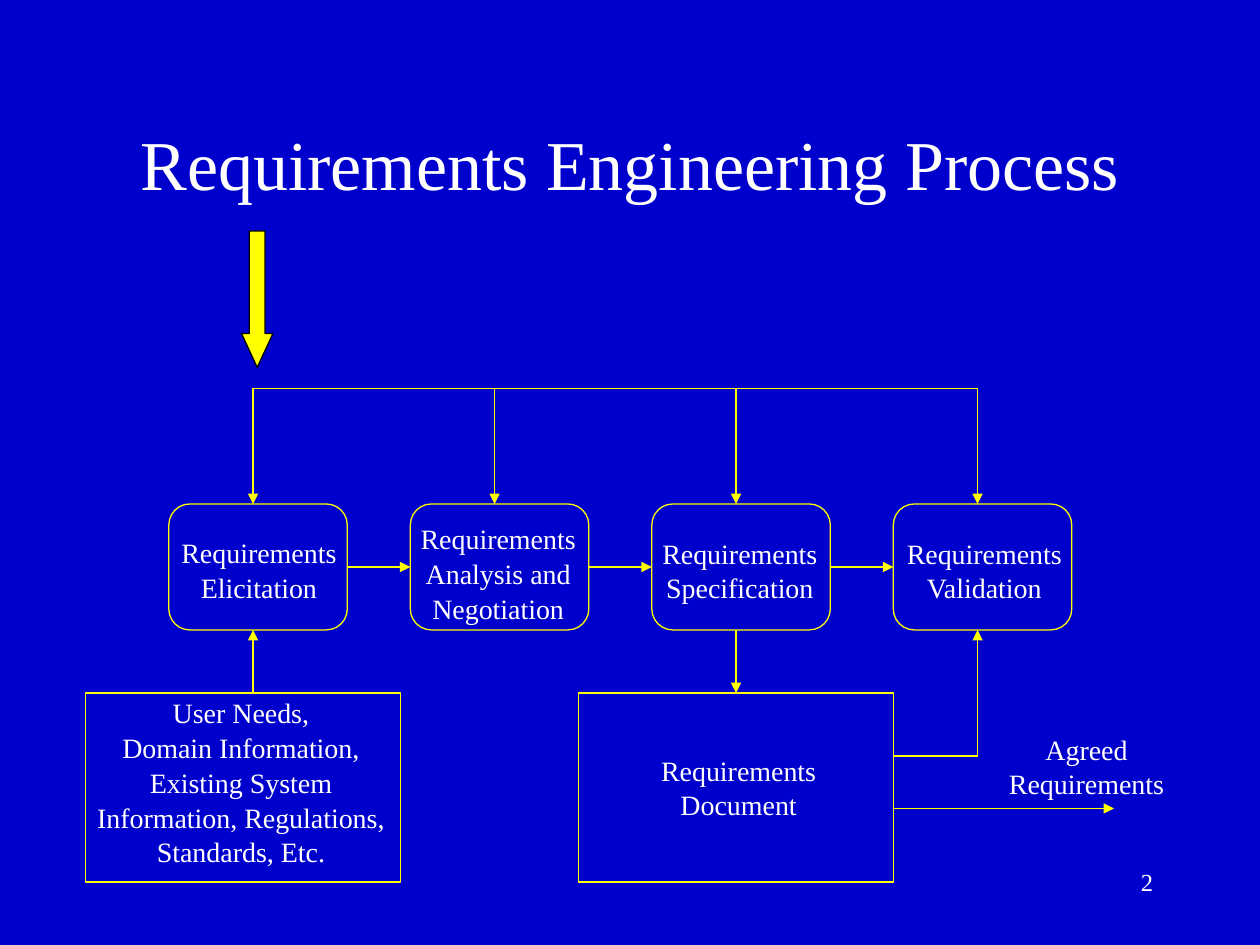
"""Build the requirements engineering process slide."""
from dataclasses import dataclass
from lxml.etree import SubElement
from pptx import Presentation
from pptx.dml.color import RGBColor
from pptx.enum.shapes import MSO_CONNECTOR as LINE, MSO_SHAPE as SHAPE
from pptx.enum.text import MSO_ANCHOR as ANCHOR, PP_ALIGN as ALIGN
from pptx.oxml.ns import qn
from pptx.util import Pt


@dataclass(frozen=True)
class Theme:
    """Colours, font and sizes of the slide."""
    back: RGBColor = RGBColor(0, 0, 0xCC)
    text: RGBColor = RGBColor(0xFF, 0xFF, 0xFF)
    accent: RGBColor = RGBColor(0xFF, 0xFF, 0)
    outline: RGBColor = RGBColor(0, 0, 0)
    font: str = "Times New Roman"
    title: int = 40
    label: int = 16
    number: int = 14
    thin: float = 0.75
    spacing: float = 1.04


T = Theme()
STAGE_LEFT, STAGE_TOP, STAGE_W, STAGE_H, STEP = 96.5, 288, 102, 72, 138
STAGE_BOTTOM = STAGE_TOP + STAGE_H
FEED_X, FEED_Y = 144.6, 222
INPUT_LEFT, DOC_LEFT, BOX_TOP, BOX_W, BOX_H = 48.75, 330.6, 396, 180, 108
DOC_RIGHT = DOC_LEFT + BOX_W
LABELS = [
    (96.5, 301.5, 103, ["Requirements", "Elicitation"]),
    (233.2, 293.6, 103, ["Requirements", "Analysis and", "Negotiation"]),
    (371.3, 302, 103, ["Requirements", "Specification"]),
    (511, 302, 103, ["Requirements", "Validation"]),
    (48.4, 393, 178.6, ["User Needs,", "Domain Information,", "Existing System",
                        "Information, Regulations,", "Standards, Etc."]),
    (370.6, 426, 103, ["Requirements", "Document"]),
    (569.4, 414, 103, ["Agreed", "Requirements"]),
]


def set_attrs(obj, values):
    """Set each named value on an object."""
    for name, value in values.items():
        setattr(obj, name, value)


def write(tf, lines, size, align=ALIGN.CENTER, spacing=None):
    """Write one paragraph per line into a text frame."""
    for i, line in enumerate(lines):
        p = tf.add_paragraph() if i else tf.paragraphs[0]
        set_attrs(p, {"alignment": align, "line_spacing": spacing})
        r = p.add_run()
        r.text = line
        set_attrs(r.font, {"name": T.font, "size": Pt(size)})
        r.font.color.rgb = T.text


def add_title(s, text):
    """Place and format the title placeholder."""
    sp = s.shapes.title
    set_attrs(sp, {"left": Pt(54), "top": Pt(48), "width": Pt(612), "height": Pt(90)})
    sp.text_frame.vertical_anchor = ANCHOR.MIDDLE
    write(sp.text_frame, [text], T.title)


def add_label(s, left, top, width, lines):
    """Add a centred label that does not wrap."""
    height = 7.2 + 19.2 * len(lines)
    tf = s.shapes.add_textbox(Pt(left), Pt(top), Pt(width), Pt(height)).text_frame
    tf.word_wrap = False
    write(tf, lines, T.label, spacing=T.spacing)


def add_number(s, text):
    """Add the slide number at the lower right."""
    tf = s.shapes.add_textbox(Pt(516), Pt(492), Pt(150), Pt(36)).text_frame
    tf.word_wrap = True
    write(tf, [text], T.number, ALIGN.RIGHT)


def add_box(s, kind, left, top, width, height, line=T.accent, fill=None):
    """Add an outlined shape, filled only when a colour is given."""
    sp = s.shapes.add_shape(kind, Pt(left), Pt(top), Pt(width), Pt(height))
    sp.shadow.inherit = False
    if fill is None:
        sp.fill.background()
    else:
        sp.fill.solid()
        sp.fill.fore_color.rgb = fill
    sp.line.color.rgb = line
    sp.line.width = Pt(T.thin)
    return sp


def add_line(s, x1, y1, x2, y2, arrow=True, width=T.thin):
    """Add a straight line, with an arrowhead at its end by default."""
    cxn = s.shapes.add_connector(LINE.STRAIGHT, Pt(x1), Pt(y1), Pt(x2), Pt(y2))
    cxn.line.color.rgb = T.accent
    cxn.line.width = Pt(width)
    if arrow:
        SubElement(cxn.line._get_or_add_ln(), qn("a:tailEnd"), type="triangle")
    SubElement(cxn._element.spPr, qn("a:effectLst"))
    return cxn


def add_stages(s):
    """Add the four stages, the arrows between them and the feedback bus."""
    stages = [add_box(s, SHAPE.ROUNDED_RECTANGLE, STAGE_LEFT + i * STEP, STAGE_TOP,
                      STAGE_W, STAGE_H) for i in range(4)]
    feeds = [FEED_X + i * STEP for i in range(4)]
    add_line(s, feeds[0], FEED_Y, feeds[-1], FEED_Y, arrow=False)
    for x in feeds:
        add_line(s, x, FEED_Y, x, STAGE_TOP)
    y = STAGE_TOP + STAGE_H / 2
    for i, (a, b) in enumerate(zip(stages, stages[1:])):
        x = STAGE_LEFT + i * STEP
        cxn = add_line(s, x + STAGE_W, y, x + STEP, y, width=1)
        cxn.begin_connect(a, 3)
        cxn.end_connect(b, 1)
    return feeds


def add_documents(s, feeds):
    """Add the input and document boxes with their arrows."""
    add_box(s, SHAPE.RECTANGLE, INPUT_LEFT, BOX_TOP, BOX_W, BOX_H)
    doc = add_box(s, SHAPE.RECTANGLE, DOC_LEFT, BOX_TOP, BOX_W, BOX_H)
    add_line(s, feeds[0], BOX_TOP, feeds[0], STAGE_BOTTOM)
    add_line(s, feeds[2], STAGE_BOTTOM, feeds[2], BOX_TOP).end_connect(doc, 0)
    add_line(s, DOC_RIGHT, 432, feeds[3], 432, arrow=False)
    add_line(s, feeds[3], 432, feeds[3], STAGE_BOTTOM)
    add_line(s, DOC_RIGHT, 462, 636.6, 462)


def main():
    """Build and save the slide."""
    prs = Presentation()
    set_attrs(prs, {"slide_width": Pt(720), "slide_height": Pt(540)})
    s = prs.slides.add_slide(prs.slide_layouts[5])
    s.background.fill.solid()
    s.background.fill.fore_color.rgb = T.back
    add_title(s, "Requirements Engineering Process")
    feeds = add_stages(s)
    add_documents(s, feeds)
    for label in LABELS:
        add_label(s, *label)
    arrow = add_box(s, SHAPE.DOWN_ARROW, 138, 132, 18, 78, T.outline, T.accent)
    arrow.adjustments[1] = 1.08
    add_number(s, "2")
    prs.save("out.pptx")


if __name__ == "__main__":
    main()
